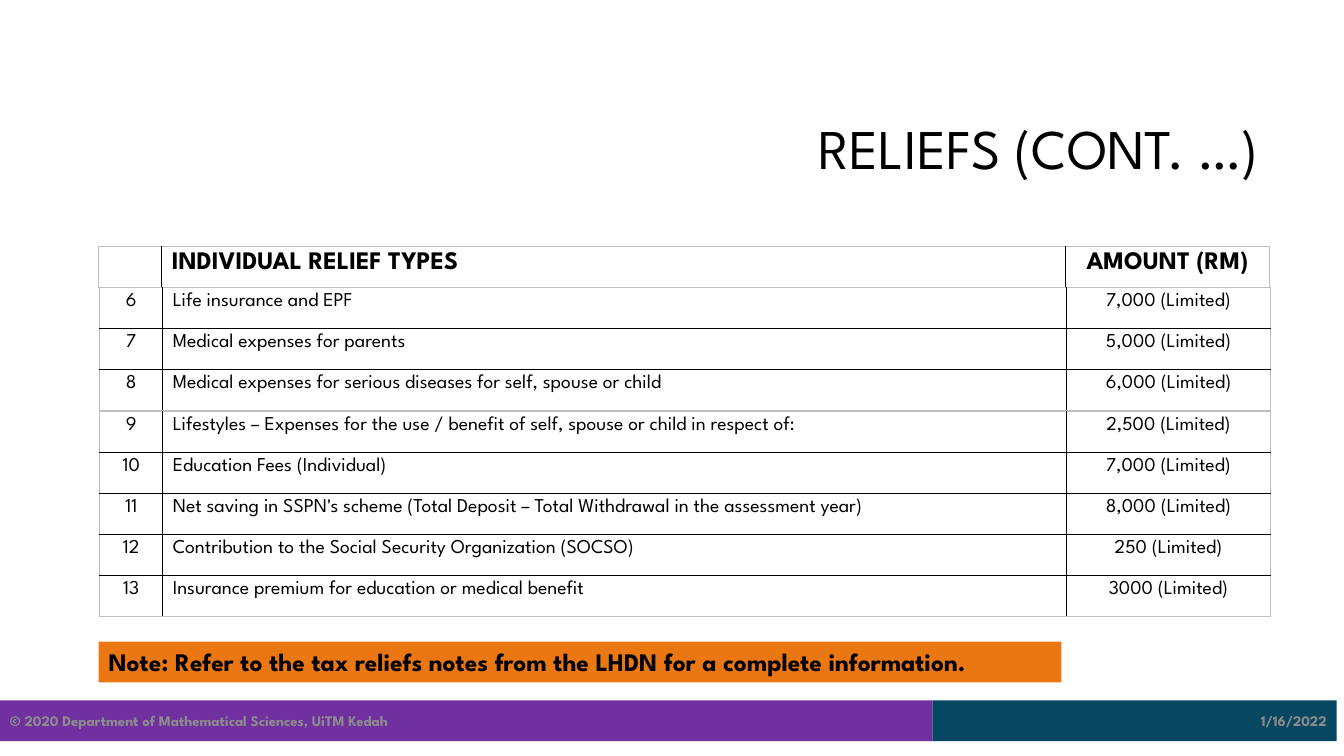
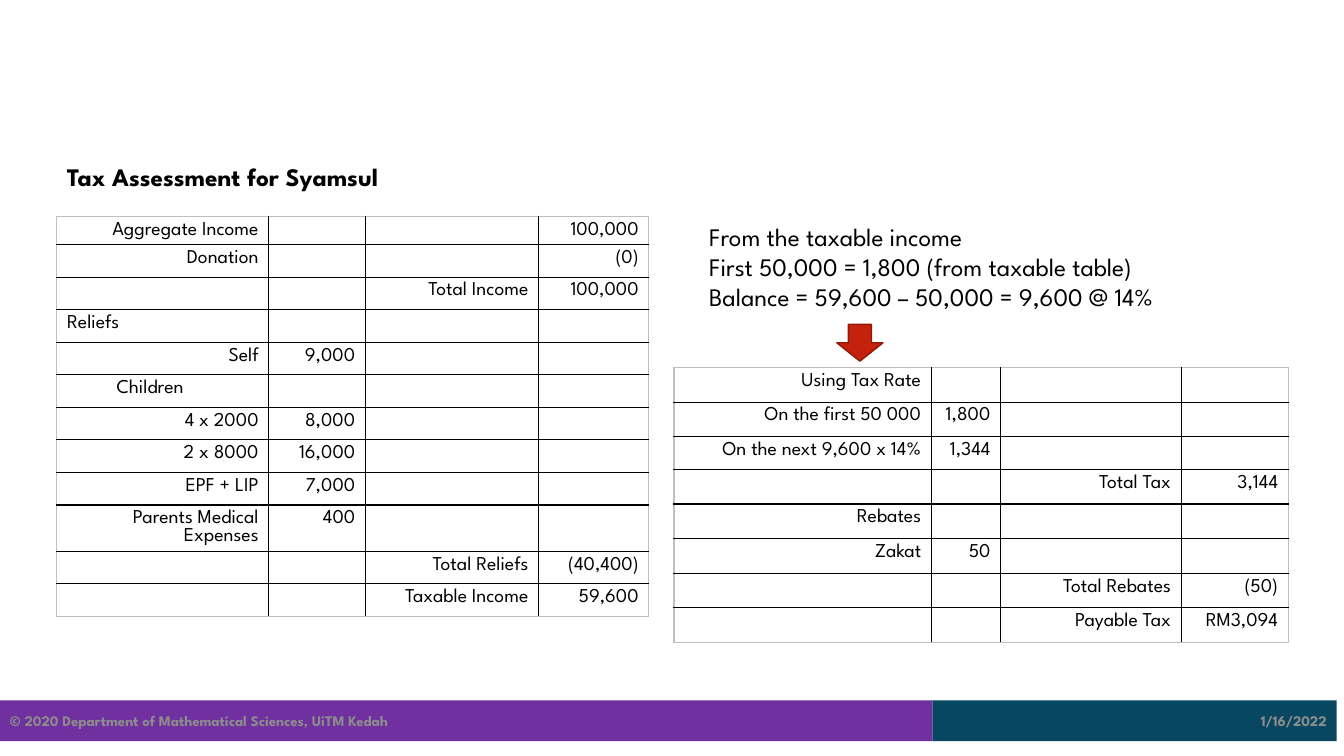
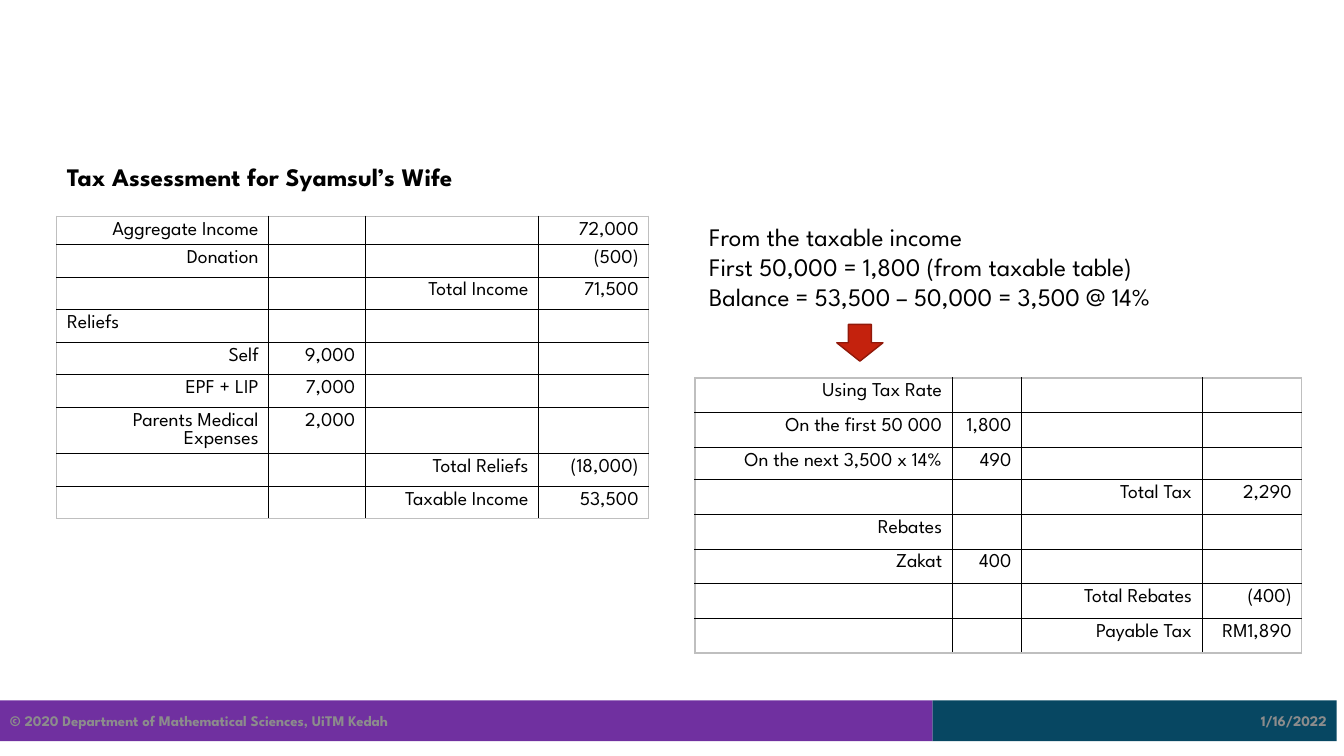
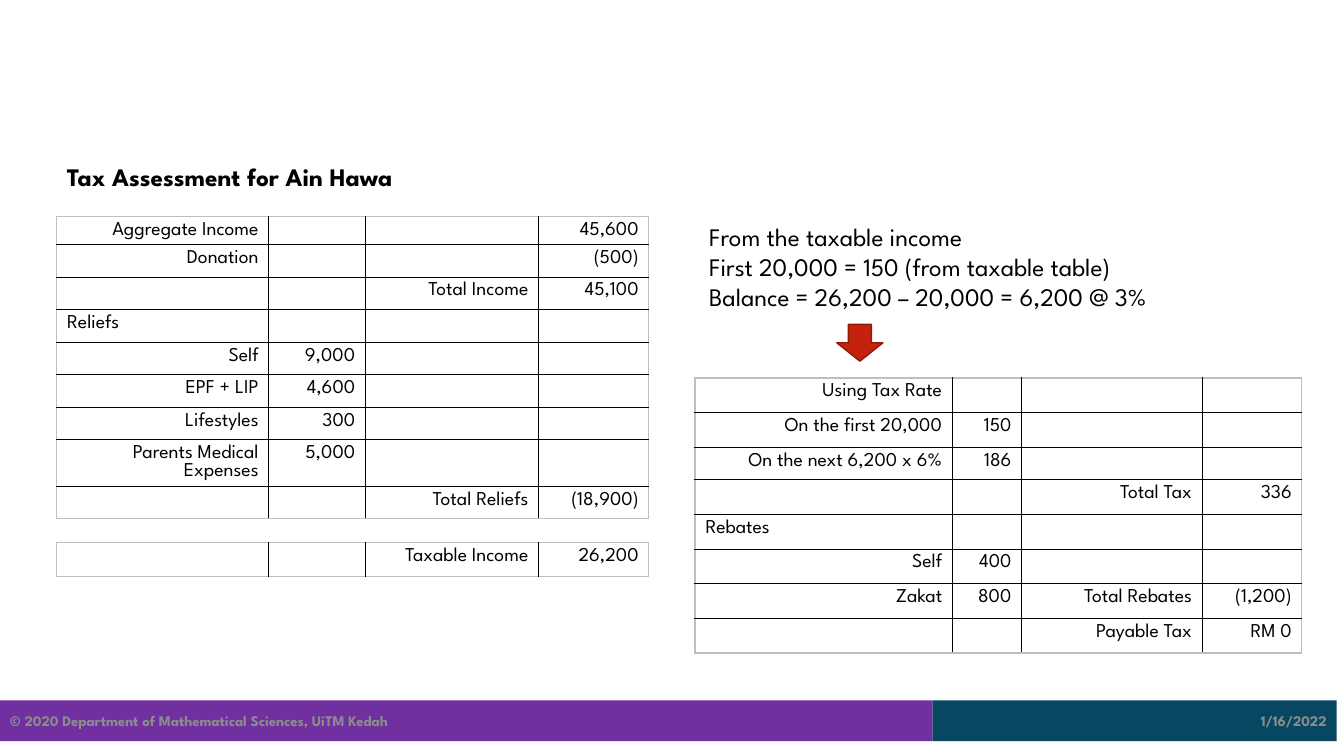
from lxml.etree import SubElement
from pptx import Presentation
from pptx.dml.color import RGBColor
from pptx.enum.shapes import MSO_SHAPE as Shape
from pptx.enum.text import MSO_ANCHOR as Anchor, MSO_AUTO_SIZE as AutoSize, PP_ALIGN as Align
from pptx.oxml.ns import qn
from pptx.util import Pt

PX = 9525  # EMU in one px, 96 px to the inch
FONT = "League Spartan"
COLORS = {
    "text": "000000",
    "footer_text": "8C8C8C",
    "footer_left": "7030A0",
    "footer_right": "074762",
    "note": "EB7712",
    "arrow": "C4220D",
    "arrow_line": "91190A",
    "grid": "000000",
    "frame": "BFBFBF",
}


def px(*lengths):
    return [length * PX for length in lengths]


def color(name):
    return RGBColor.from_string(COLORS[name])


def write(frame, text, size=18, bold=False, ink="text", align=Align.LEFT,
          anchor=Anchor.TOP, spacing=None):
    """Fill a text frame, one paragraph for each line of text."""
    frame.word_wrap = True
    frame.vertical_anchor = anchor
    for index, line in enumerate(text.split("\n")):
        para = frame.paragraphs[0] if index == 0 else frame.add_paragraph()
        para.alignment = align
        if spacing:
            para.line_spacing = spacing
        if not line:
            # An empty cell needs its text size, or its row grows
            end = SubElement(para._p, qn("a:endParaRPr"), sz=str(size * 100))
            SubElement(end, qn("a:latin"), typeface=FONT)
            continue
        span = para.add_run()
        span.text = line
        span.font.name = FONT
        span.font.size = Pt(size)
        span.font.bold = bold
        span.font.color.rgb = color(ink)


def set_border(cell, side, name):
    line = SubElement(cell._tc.get_or_add_tcPr(), qn(f"a:ln{side}"), w=str(Pt(1)))
    fill = SubElement(line, qn("a:solidFill"))
    SubElement(fill, qn("a:srgbClr"), val=COLORS[name])


class Slides:
    def __init__(self):
        self.deck = Presentation()
        self.deck.slide_width, self.deck.slide_height = px(1280, 720)
        self.page = None

    def start(self, title, box, **style):
        """Add a page with its title and the shared footer bands."""
        self.page = self.deck.slides.add_slide(self.deck.slide_layouts[5])
        self.bar("1/16/2022", (888, 667, 385, 39), "footer_right", size=10.5,
                 ink="footer_text", align=Align.RIGHT, anchor=Anchor.MIDDLE)
        self.bar("© 2020 Department of Mathematical Sciences, UiTM Kedah",
                 (0, 667, 888, 39), "footer_left", size=10.5,
                 ink="footer_text", anchor=Anchor.MIDDLE)
        holder = self.page.shapes.title
        holder.left, holder.top, holder.width, holder.height = px(*box)
        holder.text_frame.auto_size = AutoSize.NONE
        write(holder.text_frame, title, **style)

    def shape(self, kind, box, fill, line=None):
        shape = self.page.shapes.add_shape(kind, *px(*box))
        shape.shadow.inherit = False
        shape.fill.solid()
        shape.fill.fore_color.rgb = color(fill)
        if line:
            shape.line.color.rgb = color(line)
            shape.line.width = Pt(1)
        else:
            shape.line.fill.background()
        return shape

    def bar(self, text, box, fill, bold=True, **style):
        write(self.shape(Shape.RECTANGLE, box, fill).text_frame, text, bold=bold, **style)

    def text(self, text, box, **style):
        write(self.page.shapes.add_textbox(*px(*box)).text_frame, text, **style)

    def table(self, at, widths, heights, rows, aligns, **style):
        """Draw a grid; a cell given as (text, indent) is left-aligned."""
        table = self.page.shapes.add_table(
            len(rows), len(widths), *px(*at, sum(widths), sum(heights))).table
        table.first_row = table.horz_banding = False
        for column, width in zip(table.columns, px(*widths)):
            column.width = width
        last_row, last_column = len(rows) - 1, len(widths) - 1
        for r, (row, height) in enumerate(zip(rows, px(*heights))):
            table.rows[r].height = height
            for c, value in enumerate(row):
                cell, align = table.cell(r, c), aligns[c]
                if isinstance(value, tuple):
                    value, indent = value
                    align = Align.LEFT
                    cell.margin_left = (10 + indent) * PX
                # The outer frame is lighter than the inner grid
                edges = {"L": c == 0, "R": c == last_column,
                         "T": r == 0, "B": r == last_row}
                for side, outer in edges.items():
                    set_border(cell, side, "frame" if outer else "grid")
                cell.fill.background()
                write(cell.text_frame, value, align=align, **style)


# Rows of the assessment tables: label, item amount, total label, total amount
def income(label, amount):
    return [label, "", "", amount]


def item(label, amount=""):
    return [label, amount, "", ""]


def total(label, amount):
    return ["", "", label, amount]


WRAPPED = "Parents Medical Expenses"
RIGHT = [Align.RIGHT] * 4
INCOME_WIDTHS = [202, 92, 165, 105]


def add_reliefs(slides):
    slides.start("RELIEFS (CONT. …)", (304, 77, 904, 135), size=40,
                 align=Align.RIGHT, anchor=Anchor.MIDDLE, spacing=0.9)
    aligns = [Align.CENTER, Align.LEFT, Align.CENTER]
    widths = [60, 861, 194]
    reliefs = [
        ["6", "Life insurance and EPF", "7,000 (Limited)"],
        ["7", "Medical expenses for parents", "5,000 (Limited)"],
        ["8", "Medical expenses for serious diseases for self, spouse or child",
         "6,000 (Limited)"],
        ["9", "Lifestyles – Expenses for the use / benefit of self, spouse or child in respect of:",
         "2,500 (Limited)"],
        ["10", "Education Fees (Individual)", "7,000 (Limited)"],
        ["11", "Net saving in SSPN's scheme (Total Deposit – Total Withdrawal in the assessment year)",
         "8,000 (Limited)"],
        ["12", "Contribution to the Social Security Organization (SOCSO)", "250 (Limited)"],
        ["13", "Insurance premium for education or medical benefit", "3000 (Limited)"],
    ]
    slides.table((94, 235), widths, [39], [["", "INDIVIDUAL RELIEF TYPES", "AMOUNT (RM)"]],
                 aligns, size=18, bold=True)
    for at, rows in [((95, 274), reliefs[:3]), ((95, 392), reliefs[3:])]:
        slides.table(at, widths, [39] * len(rows), rows, aligns, size=14)
    slides.bar("Note: Refer to the tax reliefs notes from the LHDN for a complete information.",
               (94, 611, 917, 39), "note")


def add_assessment(slides, name, income_rows, working, tax_rows,
                   tax_at=(662, 360), last_width=95):
    slides.start(f"Tax Assessment for {name}", (54, 149, 452, 38), bold=True)
    # Income and reliefs
    heights = [27] + [44 if row[0] == WRAPPED else 31 for row in income_rows[1:]]
    slides.table((54, 206), INCOME_WIDTHS, heights, income_rows, RIGHT, size=14)
    # Tax and rebates
    slides.table(tax_at, [245, 66, 172, last_width], [33, 33, 31] + [33] * 5,
                 tax_rows, RIGHT, size=14)
    # Working
    slides.text("From the taxable income\n" + working, (666, 206, 541, 97))
    slides.shape(Shape.DOWN_ARROW, (797, 309, 44, 35), "arrow", "arrow_line")


def main():
    slides = Slides()
    add_reliefs(slides)

    add_assessment(
        slides, "Syamsul",
        [income("Aggregate Income", "100,000"), income("Donation", "(0)"),
         total("Total Income", "100,000"), item(("Reliefs", 0)),
         item("Self", "9,000"), item(("Children", 47)),
         item("4 x 2000", "8,000"), item("2 x 8000", "16,000"),
         item("EPF + LIP", "7,000"), item(WRAPPED, "400"),
         total("Total Reliefs", "(40,400)"), total("Taxable Income", "59,600")],
        "First 50,000 = 1,800 (from taxable table)\nBalance = 59,600 – 50,000 = 9,600 @ 14%",
        [item("Using Tax Rate"), item("On the first 50 000", "1,800"),
         item("On the next 9,600 x 14%", "1,344"), total("Total Tax", "3,144"),
         item("Rebates"), item("Zakat", "50"),
         total("Total Rebates", "(50)"), total("Payable Tax", "RM3,094")],
        tax_at=(642, 350), last_width=102)

    add_assessment(
        slides, "Syamsul’s Wife",
        [income("Aggregate Income", "72,000"), income("Donation", "(500)"),
         total("Total Income", "71,500"), item(("Reliefs", 0)),
         item("Self", "9,000"), item("EPF + LIP", "7,000"), item(WRAPPED, "2,000"),
         total("Total Reliefs", "(18,000)"), total("Taxable Income", "53,500")],
        "First 50,000 = 1,800 (from taxable table)\nBalance = 53,500 – 50,000 = 3,500 @ 14%",
        [item("Using Tax Rate"), item("On the first 50 000", "1,800"),
         item("On the next 3,500 x 14%", "490"), total("Total Tax", "2,290"),
         item("Rebates"), item("Zakat", "400"),
         total("Total Rebates", "(400)"), total("Payable Tax", "RM1,890")])

    add_assessment(
        slides, "Ain Hawa",
        [income("Aggregate Income", "45,600"), income("Donation", "(500)"),
         total("Total Income", "45,100"), item(("Reliefs", 0)),
         item("Self", "9,000"), item("EPF + LIP", "4,600"), item("Lifestyles", "300"),
         item(WRAPPED, "5,000"), total("Total Reliefs", "(18,900)")],
        "First 20,000 = 150 (from taxable table)\nBalance = 26,200 – 20,000 = 6,200 @ 3%",
        [item("Using Tax Rate"), item("On the first 20,000", "150"),
         item("On the next 6,200 x 6%", "186"), total("Total Tax", "336"),
         item(("Rebates", 0)), item("Self", "400"),
         ["Zakat", "800", "Total Rebates", "(1,200)"], total("Payable Tax", "RM 0")])
    slides.table((54, 517), INCOME_WIDTHS, [32], [total("Taxable Income", "26,200")],
                 RIGHT, size=14)

    slides.deck.save("out.pptx")


if __name__ == "__main__":
    main()
